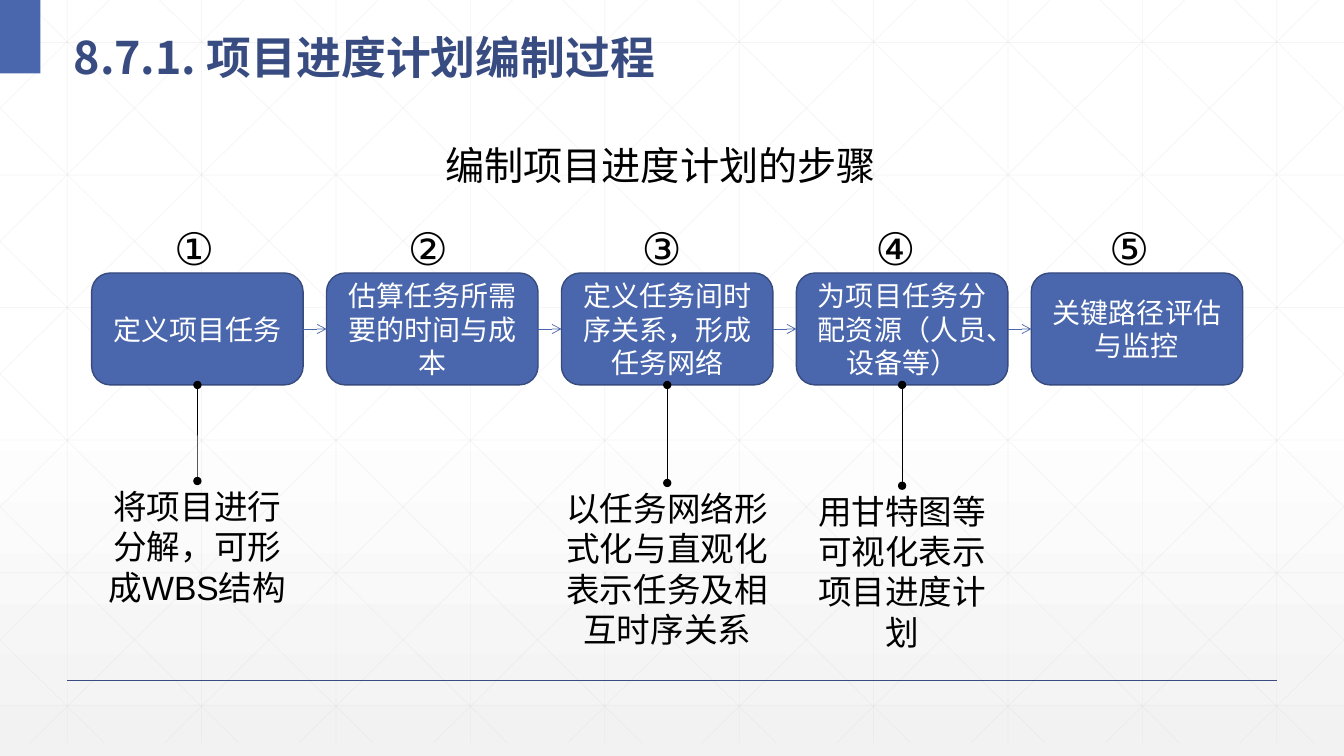
from lxml.etree import SubElement
from pptx import Presentation
from pptx.dml.color import RGBColor
from pptx.enum.shapes import MSO_CONNECTOR, MSO_SHAPE
from pptx.enum.text import MSO_ANCHOR, MSO_AUTO_SIZE, PP_ALIGN
from pptx.oxml.ns import qn
from pptx.util import Cm, Pt

WHITE = RGBColor(0xFF, 0xFF, 0xFF)
BLACK = RGBColor(0, 0, 0)
PALE_GREY = RGBColor(0xF2, 0xF2, 0xF2)
GRID_GREY = RGBColor(0xD9, 0xD9, 0xD9)
BLUE = RGBColor(0x4A, 0x66, 0xAC)
BORDER_BLUE = RGBColor(0x37, 0x4B, 0x7F)
DARK_BLUE = RGBColor(0x38, 0x4C, 0x81)

WIDTH, HEIGHT = 33.87, 19.05
GRID_STEP = WIDTH / 10
GRID_BOTTOM = 18.72
DIAGONAL_RUN = 18.93

TITLE_FONT = {"name": "Noto Sans CJK SC", "size": Pt(32), "bold": True}
STEP_FONT = {"name": "Arial", "size": Pt(20)}
NUMBER_FONT = {"name": "Arial", "size": Pt(32)}
HEADING_FONT = {"name": "Arial", "size": Pt(28)}
NOTE_FONT = {"name": "Arial", "size": Pt(24)}

STEP_TOP, STEP_HEIGHT = 6.88, 2.82
STEPS = [
    ("①", "定义项目任务"),
    ("②", "估算任务所需要的时间与成本"),
    ("③", "定义任务间时序关系，形成任务网络"),
    ("④", "为项目任务分配资源（人员、设备等）"),
    ("⑤", "关键路径评估与监控"),
]
# step index, top, width, height, wording
NOTES = [
    (0, 12.12, 5.46, 3.33, "将项目进行分解，可形成WBS结构"),
    (2, 12.17, 5.87, 4.37, "以任务网络形式化与直观化表示任务及相互时序关系"),
    (3, 12.24, 5.46, 4.37, "用甘特图等可视化表示项目进度计划"),
]


def write(frame, wording, font, color, align=PP_ALIGN.LEFT):
    paragraph = frame.paragraphs[0]
    paragraph.alignment = align
    run = paragraph.add_run()
    run.text = wording
    for attribute, value in font.items():
        setattr(run.font, attribute, value)
    run.font.color.rgb = color
    SubElement(run.font._element, qn("a:ea"), typeface=font["name"])


def add_line(shapes, start, end, color, width=0.5, alpha=None, head=None, tail=None):
    """Draw a straight line between two points in centimetres."""
    line = shapes.add_connector(MSO_CONNECTOR.STRAIGHT, *map(Cm, start + end))
    line.line.color.rgb = color
    line.line.width = Pt(width)
    outline = line.line._get_or_add_ln()
    if alpha:
        rgb = outline.find(".//" + qn("a:srgbClr"))
        SubElement(rgb, qn("a:alpha"), val=str(alpha * 1000))
    for tag, kind in (("a:headEnd", head), ("a:tailEnd", tail)):
        if kind:
            SubElement(outline, qn(tag), type=kind)
    SubElement(line._element.spPr, qn("a:effectLst"))
    return line


def add_link(shapes, source, source_side, target, target_side, color, **ends):
    """Join two shapes by the middles of their sides."""
    link = add_line(shapes, (0, 0), (1, 1), color, **ends)
    link.begin_connect(source, source_side)
    link.end_connect(target, target_side)


def add_panel(shapes, kind, left, top, width, height):
    panel = shapes.add_shape(kind, Cm(left), Cm(top), Cm(width), Cm(height))
    panel.shadow.inherit = False
    panel.fill.solid()
    panel.fill.fore_color.rgb = BLUE
    return panel


def add_label(shapes, left, top, width, height, wording, font, wrap=False):
    label = shapes.add_textbox(Cm(left), Cm(top), Cm(width), Cm(height))
    label.text_frame.word_wrap = wrap
    label.text_frame.auto_size = MSO_AUTO_SIZE.SHAPE_TO_FIT_TEXT
    align = PP_ALIGN.CENTER if wrap else PP_ALIGN.LEFT
    write(label.text_frame, wording, font, BLACK, align)
    return label


def paint_background(slide):
    fill = slide.background.fill
    fill.gradient()
    fill.gradient_angle = 270
    stops = slide.background._cSld.find(".//" + qn("a:gsLst"))
    for stop in list(stops):
        stops.remove(stop)
    for position, color in ((0, WHITE), (53, WHITE), (100, PALE_GREY)):
        stop = SubElement(stops, qn("a:gs"), pos=str(position * 1000))
        SubElement(stop, qn("a:srgbClr"), val=str(color))


def add_grid(shapes):
    lines = []
    for column in range(10):
        x = GRID_STEP * (column + 0.5)
        lines.append(((x, 0), (x, GRID_BOTTOM)))
    for row in range(6):
        y = 1.07 + 3.34 * row
        lines.append(((0, y), (WIDTH, y)))
    slope = GRID_BOTTOM / DIAGONAL_RUN
    for index in range(-5, 10):
        origin = 0.63 + GRID_STEP * index
        x1, x2 = max(0, origin), min(WIDTH, origin + DIAGONAL_RUN)
        y1, y2 = (x1 - origin) * slope, (x2 - origin) * slope
        lines.append(((x1, y1), (x2, y2)))
        lines.append(((WIDTH - x1, y1), (WIDTH - x2, y2)))
    for start, end in lines:
        add_line(shapes, start, end, GRID_GREY, alpha=25)


def place_title(shapes):
    title = shapes.title
    place = {"left": Cm(1.6), "top": Cm(0.3), "width": Cm(30.8), "height": Cm(1.85)}
    for attribute, value in place.items():
        setattr(title, attribute, value)
    title.text_frame.vertical_anchor = MSO_ANCHOR.MIDDLE
    title.text_frame.auto_size = MSO_AUTO_SIZE.NONE
    write(title.text_frame, "8.7.1. 项目进度计划编制过程", TITLE_FONT, DARK_BLUE)
    title.text_frame.paragraphs[0].line_spacing = 1.3
    shapes.element.append(title.element)  # bring in front of the grid


def add_step(shapes, index, number, wording):
    step = add_panel(shapes, MSO_SHAPE.ROUNDED_RECTANGLE,
                     2.31 + 5.92 * index, STEP_TOP, 5.33, STEP_HEIGHT)
    step.line.color.rgb = BORDER_BLUE
    step.line.width = Pt(1)
    step.text_frame.word_wrap = True
    step.text_frame.vertical_anchor = MSO_ANCHOR.MIDDLE
    write(step.text_frame, wording, STEP_FONT, WHITE, PP_ALIGN.CENTER)
    add_label(shapes, 4.14 + 5.89 * index, 5.44, 1.65, 1.63, number, NUMBER_FONT)
    return step


def main():
    deck = Presentation()
    deck.slide_width, deck.slide_height = Cm(WIDTH), Cm(HEIGHT)
    slide = deck.slides.add_slide(deck.slide_layouts[5])
    shapes = slide.shapes

    paint_background(slide)
    add_grid(shapes)
    add_line(shapes, (1.7, 17.14), (32.17, 17.14), DARK_BLUE, width=1)
    corner = add_panel(shapes, MSO_SHAPE.RECTANGLE, 0, 0, 1.02, 1.85)
    corner.line.fill.background()
    place_title(shapes)
    add_label(shapes, 10.97, 3.43, 11.48, 1.45, "编制项目进度计划的步骤", HEADING_FONT)

    steps = [add_step(shapes, index, *step) for index, step in enumerate(STEPS)]
    for step, following in zip(steps, steps[1:]):
        add_link(shapes, step, 3, following, 1, BLUE, tail="arrow")
    for index, top, width, height, wording in NOTES:
        step = steps[index]
        left = (step.left + step.width / 2) / Cm(1) - width / 2
        note = add_label(shapes, left, top, width, height, wording, NOTE_FONT, wrap=True)
        add_link(shapes, step, 2, note, 0, BLACK, head="oval", tail="oval")

    deck.save("out.pptx")


if __name__ == "__main__":
    main()
